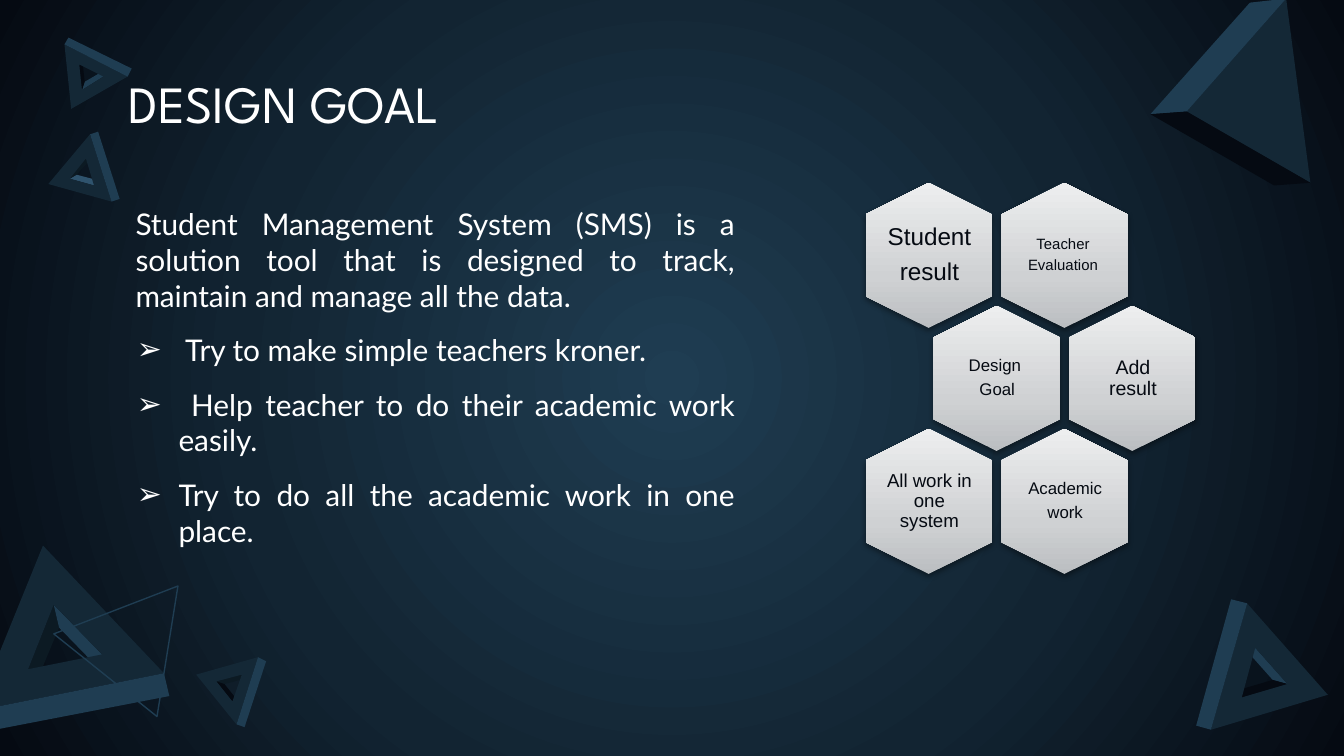
import pptx
import pptx.util
import pptx.dml.color
import pptx.enum.shapes
import pptx.enum.text
import pptx.oxml
import pptx.oxml.ns

Inches = pptx.util.Inches
Pt = pptx.util.Pt
RGB = pptx.dml.color.RGBColor
KIND = pptx.enum.shapes.MSO_SHAPE
ALIGN = pptx.enum.text.PP_ALIGN
ANCHOR = pptx.enum.text.MSO_ANCHOR
qn = pptx.oxml.ns.qn

WHITE = RGB(0xFF, 0xFF, 0xFF)
INK = RGB(0x05, 0x0A, 0x12)
DARK = RGB(0x0C, 0x1A, 0x23)
NAVY = RGB(0x12, 0x24, 0x32)
FACE = RGB(0x14, 0x28, 0x36)
EDGE = RGB(0x1F, 0x3D, 0x52)
GLOW = RGB(0x2F, 0x53, 0x6D)
STEEL = RGB(0xBB, 0xBE, 0xC1)
SILVER = RGB(0xCF, 0xD1, 0xD3)
PEARL = RGB(0xED, 0xEE, 0xEF)

# Prisms: each part is a colour and one or more outlines in inches.
LOW_LEFT = [
    (DARK, [(.24, 5.15), (.44, 4.67), (.4, 4.5), (.21, 4.98)]),
    (EDGE, [(.8, 5.04), (.76, 4.87), (.4, 4.5), (.44, 4.67)]),
    (FACE, [(.76, 4.87), (.21, 4.98), (.4, 4.5)],
     [(1.22, 5.01), (.32, 4.06), (-.18, 5.29)]),
    (EDGE, [(1.26, 5.18), (1.22, 5.01), (-.18, 5.29), (-.14, 5.45)]),
]
PRISMS = [
    [(DARK, [(1.67, 5.09), (1.61, 5.07), (1.8, 5.02), (1.86, 5.04)]),
     (INK, [(1.79, 5.24), (1.73, 5.22), (1.61, 5.07), (1.67, 5.09)]),
     (FACE, [(1.73, 5.22), (1.8, 5.02), (1.61, 5.07)],
      [(1.76, 5.39), (1.46, 5.02), (1.92, 4.89)]),
     (EDGE, [(1.82, 5.41), (1.76, 5.39), (1.92, 4.89), (1.98, 4.92)])],
    [(FACE, [(9.57, -.01), (9.75, 1.36), (8.83, .83)]),
     (EDGE, [(9.3, .02), (9.57, -.01), (8.83, .83), (8.56, .85)]),
     (INK, [(8.56, .85), (8.83, .83), (9.75, 1.36), (9.48, 1.38)])],
    [(EDGE, [(.63, .61), (.61, .67), (.77, .57), (.8, .51)]),
     (INK, [(.61, .42), (.59, .48), (.61, .67), (.63, .61)]),
     (FACE, [(.59, .48), (.77, .57), (.61, .67)],
      [(.48, .33), (.53, .81), (.95, .57)]),
     (EDGE, [(.51, .28), (.48, .33), (.95, .57), (.98, .51)])],
    [(GLOW, [(.57, 1.3), (.52, 1.33), (.7, 1.38), (.76, 1.35)]),
     (DARK, [(.7, 1.16), (.64, 1.18), (.52, 1.33), (.57, 1.3)]),
     (FACE, [(.64, 1.18), (.7, 1.38), (.52, 1.33)],
      [(.67, 1), (.36, 1.37), (.83, 1.5)]),
     (EDGE, [(.73, .98), (.67, 1), (.83, 1.5), (.89, 1.48)])],
    [(EDGE, [(9.58, 5.09), (9.34, 4.82), (9.23, 4.79), (9.47, 5.06)]),
     (INK, [(9.24, 5.19), (9.58, 5.09), (9.47, 5.06), (9.13, 5.16)]),
     (FACE, [(9.24, 5.19), (9.34, 4.82), (9.58, 5.09)],
      [(9.01, 5.43), (9.88, 5.17), (9.28, 4.49)]),
     (EDGE, [(9.01, 5.43), (9.28, 4.49), (9.16, 4.46), (8.9, 5.4)])],
]

INTRO = ("Student Management System (SMS) is a solution tool that is "
         "designed to track, maintain and manage all the data.")
GOALS = [" Try to make simple teachers kroner.",
         " Help teacher to do their academic work easily.",
         "Try to do all the academic work in one place."]

# Hexagons: column, row, text size, inset, lines
CELLS = [
    (1, 0, 8, .03, ["Teacher ", "Evaluation "]),
    (0, 0, 13, 0, ["Student ", "result"]),
    (0, 1, 9, .04, ["Design ", "Goal"]),
    (1, 1, 10.5, 0, ["Add result"]),
    (1, 2, 9, .04, ["Academic ", "work"]),
    (0, 2, 10, 0, ["All work in one system"]),
]


def node(tag, **attrs):
    item = pptx.oxml.parse_xml(f'<{tag} {pptx.oxml.ns.nsdecls("a")}/>')
    for key, value in attrs.items():
        item.set(key, str(value))
    return item


def nest(home, tag, **attrs):
    item = node(tag, **attrs)
    home.append(item)
    return item


def blend(stops):
    """Make a gradient fill that still lacks its direction."""
    fill = node("a:gradFill", rotWithShape=0)
    row = nest(fill, "a:gsLst")
    for place, color in stops:
        stop = nest(row, "a:gs", pos=place * 1000)
        nest(stop, "a:srgbClr", val=color)
    return fill


def swap(props, fill):
    """Put a gradient in the place of a solid fill."""
    props.replace(props.find(qn("a:solidFill")), fill)


class Deck:
    head, body, label = "League Spartan", "Lato", "Arial"

    def __init__(self):
        self.file = pptx.Presentation()
        self.file.slide_width = Inches(10)
        self.file.slide_height = Inches(10 * 9 / 16)
        self.slide = self.file.slides.add_slide(self.file.slide_layouts[6])
        self.shapes = self.slide.shapes

    def ground(self):
        self.slide.background.fill.solid()
        fill = blend([(0, EDGE), (57, NAVY), (100, INK)])
        way = nest(fill, "a:path", path="circle")
        nest(way, "a:fillToRect", l=50000, t=50000, r=50000, b=50000)
        swap(self.slide.element.find(".//" + qn("p:bgPr")), fill)

    def facet(self, color, *rings):
        rings = [[(Inches(x), Inches(y)) for x, y in ring] for ring in rings]
        pen = self.shapes.build_freeform(*rings[0][0], scale=1.0)
        for count, ring in enumerate(rings):
            if count:
                pen.move_to(*ring[0])
            pen.add_line_segments(ring[1:], close=True)
        shape = pen.convert_to_shape()
        shape.shadow.inherit = False
        shape.fill.solid()
        shape.fill.fore_color.rgb = color
        shape.line.fill.background()

    def prism(self, parts):
        for part in parts:
            self.facet(*part)

    def frame(self, x, y, w, h, turn):
        shape = self.shapes.add_shape(KIND.ISOSCELES_TRIANGLE, Inches(x),
                                      Inches(y), Inches(w), Inches(h))
        shape.rotation = turn
        shape.shadow.inherit = False
        shape.fill.background()
        shape.line.color.rgb = EDGE
        shape.line.width = Pt(.75)

    def box(self, x, y, w, h, inset=.1):
        frame = self.shapes.add_textbox(Inches(x), Inches(y), Inches(w),
                                        Inches(h)).text_frame
        frame.word_wrap = True
        frame.vertical_anchor = ANCHOR.MIDDLE
        frame.margin_left = frame.margin_right = Inches(inset)
        frame.margin_top = frame.margin_bottom = Inches(inset)
        return frame

    def para(self, frame, first, align):
        para = frame.paragraphs[0] if first else frame.add_paragraph()
        para.alignment = align
        return para

    def run(self, para, text, face, size, color):
        run = para.add_run()
        run.text = text
        run.font.name = face
        run.font.size = Pt(size)
        run.font.color.rgb = color

    def title(self, text):
        para = self.para(self.box(.86, .6, 8.44, .32), True, ALIGN.LEFT)
        self.run(para, text, self.head, 28, WHITE)

    def story(self, intro, goals):
        frame = self.box(.86, 1.48, 4.71, 2.91)
        frame.margin_bottom = Inches(.36)
        for count, text in enumerate([intro] + goals):
            para = self.para(frame, count == 0, ALIGN.JUSTIFY)
            props = para._p.get_or_add_pPr()
            props.set("marL", str(Inches(.37 if count else .05)))
            props.set("indent", str(Inches(-.31 if count else 0)))
            if count:
                para.space_before = Pt(10)
                tint = nest(props, "a:buClr")
                nest(tint, "a:srgbClr", val=WHITE)
                nest(props, "a:buFont", typeface=self.label)
                nest(props, "a:buChar", char="➢")
            self.run(para, text, self.body, 16, WHITE)

    def cell(self, col, row, size, inset, lines):
        x = 6.37 + 1.01 * (col + row % 2 / 2)
        y = 1.43 + 1.83 * row / 2
        shape = self.shapes.add_shape(KIND.HEXAGON, Inches(x), Inches(y),
                                      Inches(1.08), Inches(.94))
        shape.rotation = 90
        shape.adjustments[0] = .25
        shape.line.fill.background()
        shape.fill.solid()
        fill = blend([(0, STEEL), (35, SILVER), (100, PEARL)])
        nest(fill, "a:lin", ang=270 * 60000, scaled=0)
        props = shape._element.spPr
        swap(props, fill)
        glow = nest(nest(props, "a:effectLst"), "a:outerShdw", blurRad=Pt(3.1),
                    dist=Pt(1.6), dir=90 * 60000, rotWithShape=0)
        tint = nest(glow, "a:srgbClr", val="000000")
        nest(tint, "a:alpha", val=38000)
        frame = self.box(x + .22, y + .1, .65, .74, inset)
        for count, text in enumerate(lines):
            para = self.para(frame, count == 0, ALIGN.CENTER)
            para.line_spacing = .9
            after = nest(para._p.get_or_add_pPr(), "a:spcAft")
            nest(after, "a:spcPct", val=35000)
            self.run(para, text, self.label, size, INK)


def main():
    deck = Deck()
    deck.ground()
    deck.prism(LOW_LEFT)
    deck.frame(.52, 4.51, .99, .85, 158.9)
    for parts in PRISMS:
        deck.prism(parts)
    deck.title("DESIGN GOAL")
    deck.story(INTRO, GOALS)
    for cell in CELLS:
        deck.cell(*cell)
    deck.file.save("out.pptx")


if __name__ == "__main__":
    main()
